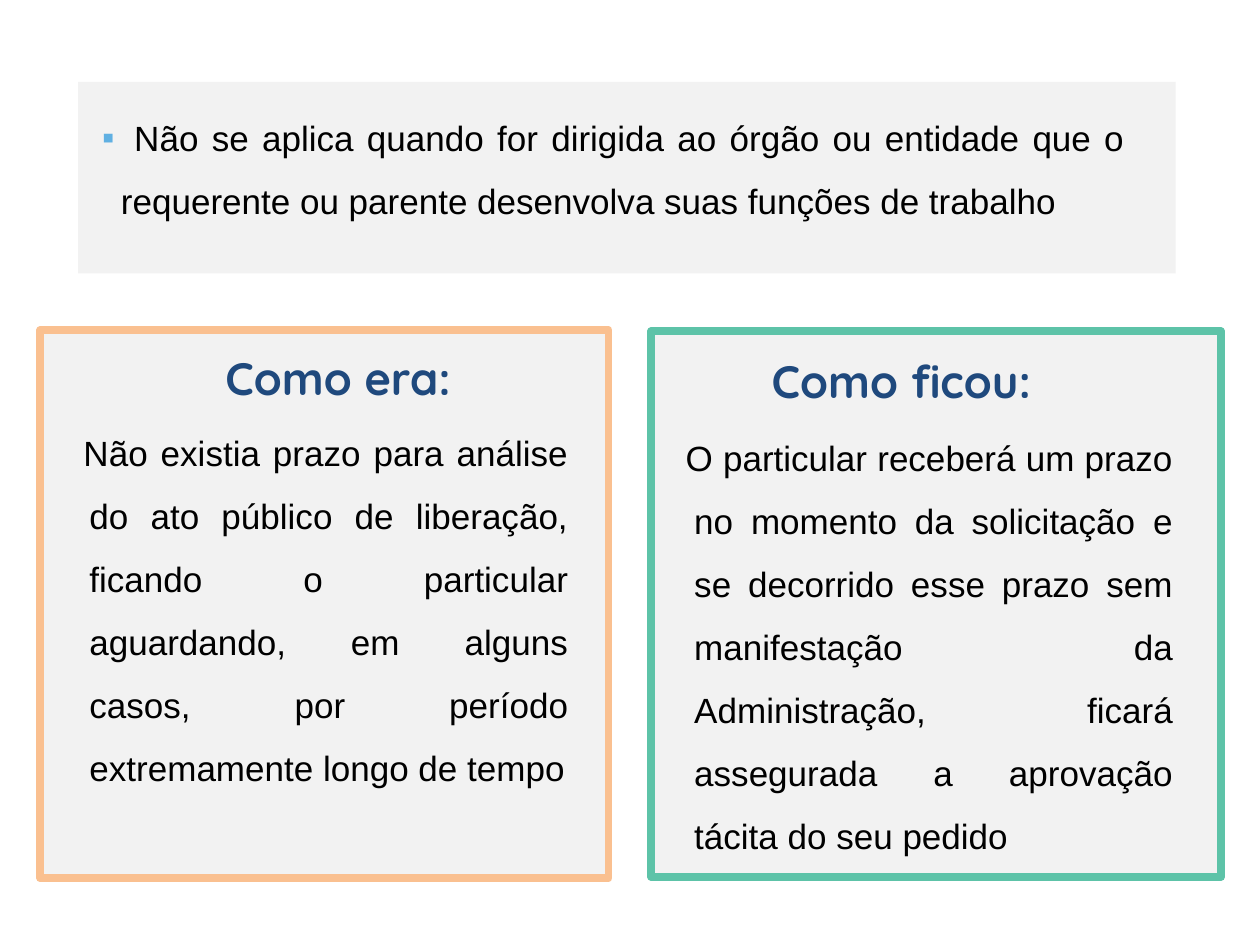
from dataclasses import dataclass

from lxml import etree
from pptx import Presentation
from pptx import util as u
from pptx.dml.color import RGBColor
from pptx.enum import shapes, text
from pptx.oxml import ns


@dataclass(frozen=True)
class Theme:
    panel: str = "F2F2F2"
    ink: str = "000000"
    heading: str = "1F497D"
    bullet: str = "60B0E2"
    before: str = "FAC090"
    after: str = "5DC3A8"
    body_font: str = "Arial"
    heading_font: str = "Quicksand"
    body_size: int = 20
    heading_size: int = 26
    border: float = 4.5
    indent: float = 0.15


class SlideBuilder:
    columns, rows = 100, 75

    def __init__(self, presentation, layout, theme):
        self.presentation = presentation
        self.theme = theme
        self.slide = presentation.slides.add_slide(layout)
        self.panel_count = 0

    def box(self, left, top, width, height):
        column = self.presentation.slide_width / self.columns
        row = self.presentation.slide_height / self.rows
        return [round(n) for n in (left * column, top * row, width * column, height * row)]

    def panel(self, area, border=None):
        shape = self.slide.shapes.add_shape(shapes.MSO_SHAPE.RECTANGLE, *self.box(*area))
        shape.shadow.inherit = False
        shape.fill.solid()
        shape.fill.fore_color.rgb = RGBColor.from_string(self.theme.panel)
        if border:
            shape.line.color.rgb = RGBColor.from_string(border)
            shape.line.width = u.Pt(self.theme.border)
        else:
            shape.line.fill.background()
        tree = shape.element.getparent()
        tree.insert(2 + self.panel_count, shape.element)
        self.panel_count += 1

    def fill_text(self, index, area, words, alignment, font, size, color, bold=False, bullet=None):
        shape = self.slide.placeholders[index]
        shape.left, shape.top, shape.width, shape.height = self.box(*area)
        frame = shape.text_frame
        frame.text = words
        frame.word_wrap = True
        frame.auto_size = text.MSO_AUTO_SIZE.SHAPE_TO_FIT_TEXT
        frame.vertical_anchor = text.MSO_ANCHOR.MIDDLE
        paragraph = frame.paragraphs[0]
        paragraph.alignment = alignment
        paragraph.line_spacing = 1.5
        paragraph.space_before = u.Pt(0)
        paragraph.space_after = u.Pt(6)
        self.mark(paragraph, bullet)
        run = paragraph.runs[0]
        run.font.name = font
        run.font.size = u.Pt(size)
        run.font.bold = bold
        run.font.color.rgb = RGBColor.from_string(color)

    def mark(self, paragraph, bullet):
        properties = paragraph._p.get_or_add_pPr()
        indent = u.Inches(self.theme.indent)
        properties.set("marL", str(indent))
        properties.set("indent", str(-indent))
        if bullet:
            color = etree.SubElement(properties, ns.qn("a:buClr"))
            etree.SubElement(color, ns.qn("a:srgbClr"), val=self.theme.bullet)
            etree.SubElement(properties, ns.qn("a:buFont"), typeface=self.theme.body_font)
            etree.SubElement(properties, ns.qn("a:buChar"), char=bullet)
        else:
            etree.SubElement(properties, ns.qn("a:buNone"))

    def heading(self, index, area, words):
        theme = self.theme
        self.fill_text(index, area, words, text.PP_ALIGN.CENTER, theme.heading_font,
                       theme.heading_size, theme.heading, bold=True)

    def body(self, index, area, words, bullet=None):
        theme = self.theme
        self.fill_text(index, area, words, text.PP_ALIGN.JUSTIFY, theme.body_font,
                       theme.body_size, theme.ink, bullet=bullet)


def main():
    presentation = Presentation()
    presentation.slide_width = u.Inches(10)
    presentation.slide_height = u.Inches(7.5)
    theme = Theme()
    builder = SlideBuilder(
        presentation, presentation.slide_layouts.get_by_name("Comparison"), theme)

    builder.panel((6.2, 6.5, 87.1, 15.2))
    builder.panel((3.2, 26.2, 45.1, 43.5), theme.before)
    builder.panel((51.7, 26.3, 45.2, 43.3), theme.after)

    builder.body(0, (7.1, 7, 83.2, 11.1),
                 " Não se aplica quando for dirigida ao órgão ou entidade que o "
                 "requerente ou parente desenvolva suas funções de trabalho", bullet="▪")
    builder.heading(1, (7.9, 25.5, 37.9, 6.8), "Como era:")
    builder.body(2, (4.6, 31.9, 41.5, 31.3),
                 " Não existia prazo para análise do ato público de liberação, ficando o "
                 "particular aguardando, em alguns casos, por período extremamente longo "
                 "de tempo")
    builder.heading(3, (52.6, 25.7, 37.9, 6.8), "Como ficou:")
    builder.body(4, (52.6, 32.3, 41.5, 36.4),
                 " O particular receberá um prazo no momento da solicitação e se decorrido "
                 "esse prazo sem manifestação da Administração, ficará assegurada a "
                 "aprovação tácita do seu pedido")

    presentation.save("out.pptx")


if __name__ == "__main__":
    main()
